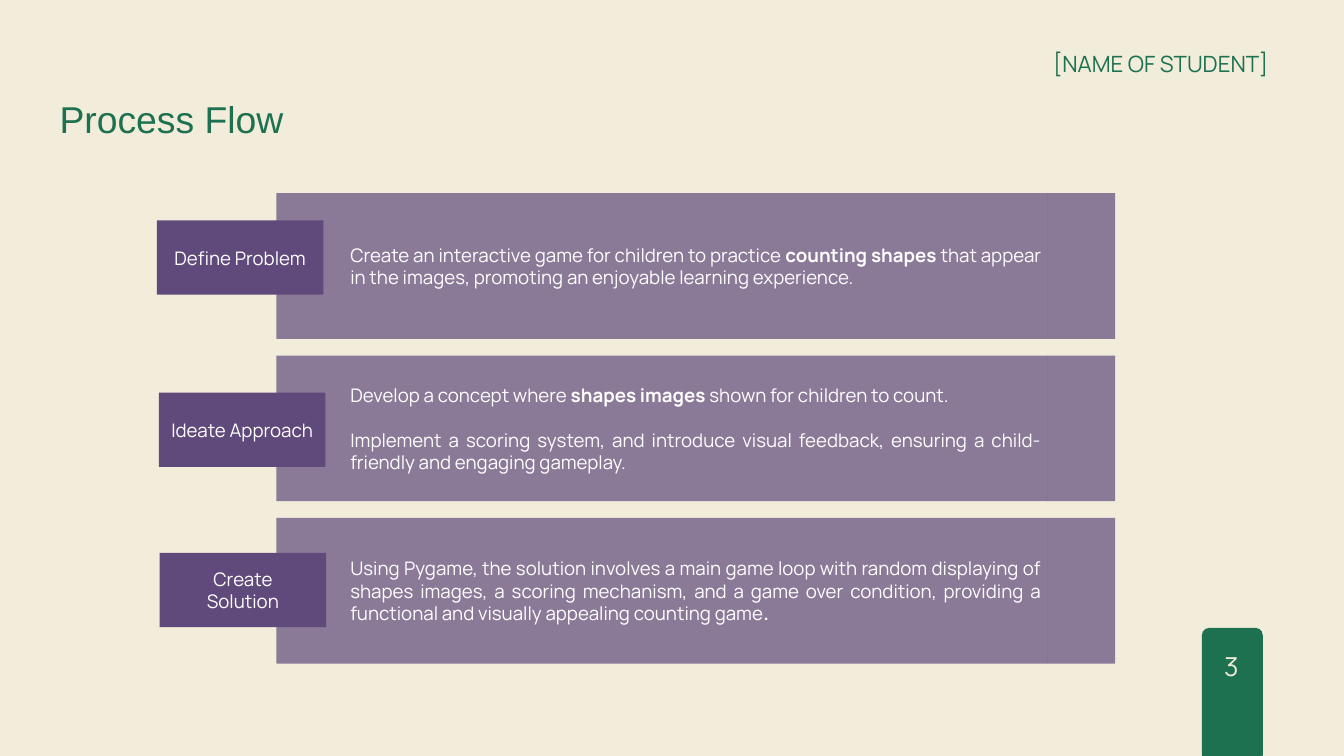
from dataclasses import dataclass

from lxml import etree
from pptx import Presentation
from pptx.dml.color import RGBColor
from pptx.enum.shapes import MSO_SHAPE
from pptx.enum.text import MSO_ANCHOR, PP_ALIGN
from pptx.oxml.ns import qn
from pptx.util import Emu, Pt

RECTANGLE = MSO_SHAPE.RECTANGLE
ROUNDED = MSO_SHAPE.ROUNDED_RECTANGLE
MIDDLE = MSO_ANCHOR.MIDDLE
LEFT, CENTER, RIGHT, JUSTIFY = (
    PP_ALIGN.LEFT, PP_ALIGN.CENTER, PP_ALIGN.RIGHT, PP_ALIGN.JUSTIFY)

EMU_PER_PX = 9525  # 96 px to the inch


@dataclass(frozen=True)
class Theme:
    cream: str = "F2EDDB"
    green: str = "1D7151"
    purple: str = "604A7B"
    white: str = "FFFFFF"
    font: str = "Manrope"
    title_font: str = "Arial"
    title_size: int = 40
    number_size: int = 28
    name_size: int = 24
    body_size: int = 20
    panel_opacity: int = 70


THEME = Theme()

# Panel grid
PANEL_LEFT, PANEL_TOP, PANEL_PITCH = 395, 276, 232
PANEL_WIDTH, PANEL_HEIGHT, END_WIDTH = 1102, 208, 96
LABEL_WIDTH, LABEL_HEIGHT = 238, 106
TEXT_INDENT = 96

# Each step: label position, label lines, paragraphs of (text, bold) runs
STEPS = [
    ((224, 315), ["Define Problem"], [
        [("Create an interactive game for children to practice", False),
         (" counting shapes", True),
         (" that appear in the images, promoting an enjoyable learning "
          "experience.", False)]]),
    ((227, 561), ["Ideate Approach"], [
        [("Develop a concept where ", False),
         ("shapes images ", True),
         ("shown for children to count.", False)],
        [("Implement a scoring system, and introduce visual feedback, "
          "ensuring a child-friendly and engaging gameplay.", False)]]),
    ((228, 790), ["Create", "Solution"], [
        [("Using Pygame, the solution involves a main game loop with random "
          "displaying of shapes images, a scoring mechanism, and a game over "
          "condition, providing a functional and visually appealing counting "
          "game", False),
         (".", True)]]),
]


def px(value):
    return Emu(value * EMU_PER_PX)


def apply(target, values):
    for name, value in values.items():
        setattr(target, name, value)


def add_run(paragraph, text, size, color, font=THEME.font, bold=False):
    run = paragraph.add_run()
    run.text = text
    apply(run.font, {"name": font, "size": Pt(size), "bold": bold})
    run.font.color.rgb = RGBColor.from_string(color)


def add_block(shapes, kind, box, color, opacity=100):
    shape = shapes.add_shape(kind, *map(px, box))
    shape.shadow.inherit = False
    shape.line.fill.background()
    shape.fill.solid()
    shape.fill.fore_color.rgb = RGBColor.from_string(color)
    if opacity < 100:
        color_element = shape.fill._xPr.find(".//" + qn("a:srgbClr"))
        etree.SubElement(color_element, qn("a:alpha"), val=str(opacity * 1000))
    return shape


def add_text(slide, box, text, size, color, line_height, align=LEFT,
             font=THEME.font):
    frame = slide.shapes.add_textbox(*map(px, box)).text_frame
    apply(frame, {"word_wrap": True, "margin_left": 0, "margin_top": 0,
                  "margin_right": 0, "margin_bottom": 0})
    paragraph = frame.paragraphs[0]
    apply(paragraph, {"alignment": align, "line_spacing": Pt(line_height)})
    add_run(paragraph, text, size, color, font)


def fill_block(shape, paragraphs, align, indent=0, gap=0):
    frame = shape.text_frame
    apply(frame, {"word_wrap": True, "vertical_anchor": MIDDLE})
    for index, runs in enumerate(paragraphs):
        paragraph = frame.add_paragraph() if index else frame.paragraphs[0]
        paragraph.alignment = align
        if indent:
            properties = paragraph._p.get_or_add_pPr()
            properties.set("marL", str(px(indent)))
            properties.set("indent", "0")
        if index and gap:
            paragraph.space_before = Pt(gap)
        for text, bold in runs:
            add_run(paragraph, text, THEME.body_size, THEME.white, bold=bold)


def add_panel(slide, row, paragraphs):
    top = PANEL_TOP + row * PANEL_PITCH
    group = slide.shapes.add_group_shape()
    panel = add_block(group.shapes, RECTANGLE,
                      (PANEL_LEFT, top, PANEL_WIDTH, PANEL_HEIGHT),
                      THEME.purple, THEME.panel_opacity)
    fill_block(panel, paragraphs, JUSTIFY, TEXT_INDENT, gap=24)
    add_block(group.shapes, RECTANGLE,
              (PANEL_LEFT + PANEL_WIDTH, top, END_WIDTH, PANEL_HEIGHT),
              THEME.purple, THEME.panel_opacity)


def add_label(slide, position, lines):
    label = add_block(slide.shapes, RECTANGLE,
                      (*position, LABEL_WIDTH, LABEL_HEIGHT), THEME.purple)
    fill_block(label, [[(line, False)] for line in lines], CENTER)


def main():
    presentation = Presentation()
    apply(presentation, {"slide_width": px(1920), "slide_height": px(1080)})
    slide = presentation.slides.add_slide(presentation.slide_layouts[6])
    slide.background.fill.solid()
    slide.background.fill.fore_color.rgb = RGBColor.from_string(THEME.cream)

    # Page number tab
    tab = add_block(slide.shapes, ROUNDED, (1717, 897, 87, 192), THEME.green)
    tab.adjustments[0] = 0.12
    add_text(slide, (1740, 922, 38, 51), "3", THEME.number_size, THEME.cream,
             39.2, CENTER)

    # Title and student name
    add_text(slide, (85, 126, 730, 73), "Process Flow", THEME.title_size,
             THEME.green, 56, font=THEME.title_font)
    add_text(slide, (1439, 65, 373, 43), "[NAME OF STUDENT]",
             THEME.name_size, THEME.green, 33.6, RIGHT)

    # Steps: panels behind, labels in front
    for row, (_, _, paragraphs) in enumerate(STEPS):
        add_panel(slide, row, paragraphs)
    for position, lines, _ in STEPS:
        add_label(slide, position, lines)

    presentation.save("out.pptx")


if __name__ == "__main__":
    main()
